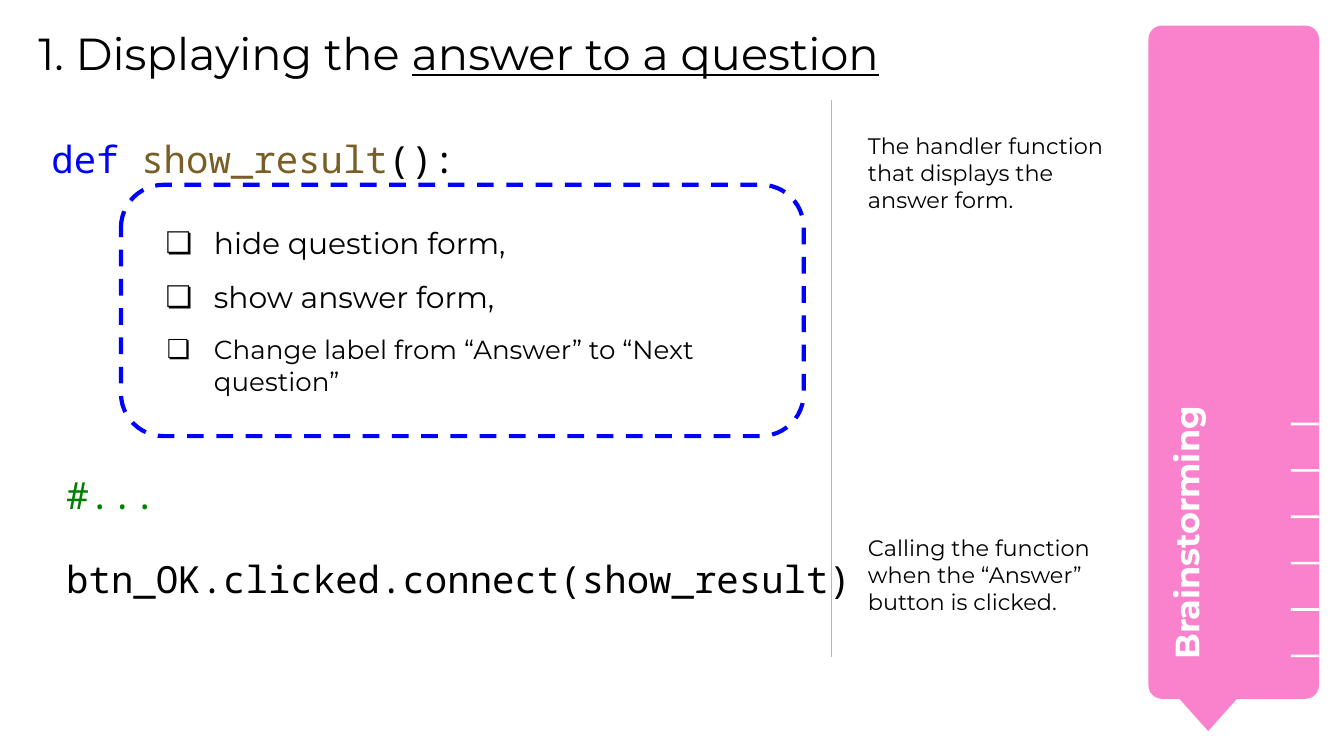
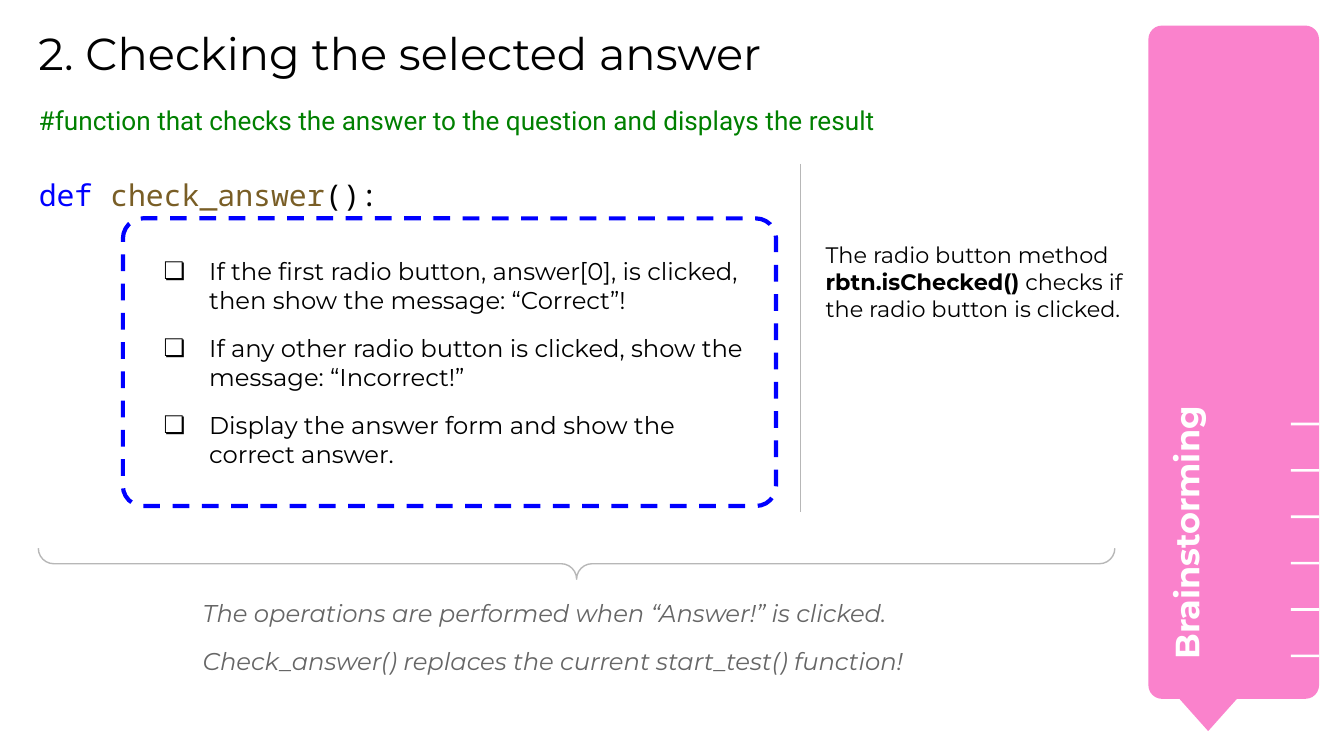
from dataclasses import dataclass

from lxml import etree
from pptx import Presentation
from pptx import util as u
from pptx.dml.color import RGBColor
from pptx.enum import dml, shapes, text
from pptx.oxml import ns

PX = 4572  # 200 px to the inch
SANS, MONO, ROBOTO = "Montserrat", "Noto Sans Mono", "Roboto"
BLACK, WHITE, PINK = "000000", "FFFFFF", "FA82CC"
KEYWORD, FUNCTION, COMMENT = "0000FF", "795E26", "008000"
RULE, GREY = "B7B7B7", "666666"
G = shapes.MSO_SHAPE


@dataclass(frozen=True)
class Box:
    left: int
    top: int
    width: int
    height: int

    def emu(self) -> list:
        return [px(v) for v in (self.left, self.top, self.width, self.height)]


@dataclass(frozen=True)
class Style:
    font: str
    size: int
    color: str = BLACK
    bold: bool = False
    italic: bool = False


@dataclass(frozen=True)
class Run:
    """Text with its departures from the style of its box."""
    text: str
    color: str = ""
    bold: bool = False
    underline: bool = False
    size: int = 0


@dataclass(frozen=True)
class Para:
    runs: tuple
    before: int = 0
    after: int = 0
    spacing: float = 1.0
    hang: int = 0


TITLE = Style(SANS, 24)
NOTE = Style(SANS, 12)
TAG = Style(SANS, 18, WHITE, bold=True)
CODE = Style(MONO, 20)
SMALL_CODE = Style(MONO, 16)
REMARK = Style(ROBOTO, 14, COMMENT)
TASK = Style(SANS, 16)
SMALL_TASK = Style(SANS, 13)
FOOTNOTE = Style(SANS, 13, GREY, italic=True)


def px(n: int) -> u.Emu:
    return u.Emu(n * PX)


def rgb(color: str) -> RGBColor:
    return RGBColor.from_string(color)


def para(*runs, **layout) -> Para:
    return Para(tuple(Run(r) if isinstance(r, str) else r for r in runs), **layout)


def code(*runs) -> Para:
    return para(*runs, spacing=1.5)


def definition(name: str) -> Para:
    return code(Run("def ", KEYWORD), Run(name, FUNCTION), "():")


def add_bullet(p, hang: int) -> None:
    pPr = p._p.get_or_add_pPr()
    pPr.set("marL", str(px(100)))
    pPr.set("indent", str(-px(hang)))
    color = etree.SubElement(pPr, ns.qn("a:buClr"))
    etree.SubElement(color, ns.qn("a:srgbClr")).set("val", BLACK)
    etree.SubElement(pPr, ns.qn("a:buFont")).set("typeface", SANS)
    etree.SubElement(pPr, ns.qn("a:buChar")).set("char", "❏")


def write(sp, style: Style, paras: list, inset: int = 20) -> None:
    tf = sp.text_frame
    tf.word_wrap = True
    tf.margin_left = tf.margin_top = tf.margin_right = tf.margin_bottom = px(inset)
    for i, item in enumerate(paras):
        p = tf.add_paragraph() if i else tf.paragraphs[0]
        p.alignment = text.PP_ALIGN.LEFT
        p.space_before, p.space_after = u.Pt(item.before), u.Pt(item.after)
        p.line_spacing = item.spacing
        if item.hang:
            add_bullet(p, item.hang)
        for run in item.runs:
            r = p.add_run()
            r.text = run.text
            f = r.font
            f.name, f.size = style.font, u.Pt(run.size or style.size)
            f.bold, f.italic = run.bold or style.bold, style.italic
            f.underline = run.underline
            f.color.rgb = rgb(run.color or style.color)


def add_text(s, box: Box, style: Style, *paras, inset: int = 20):
    sp = s.shapes.add_textbox(*box.emu())
    write(sp, style, paras, inset)
    return sp


def add_shape(parent, kind, box: Box, fill: str = "", line: str = "",
              weight: float = 0.75, adj: tuple = ()):
    """Draw a preset shape on a slide or in a group."""
    sp = parent.shapes.add_shape(kind, *box.emu())
    sp.shadow.inherit = False
    if fill:
        sp.fill.solid()
        sp.fill.fore_color.rgb = rgb(fill)
    else:
        sp.fill.background()
    if line:
        sp.line.color.rgb = rgb(line)
        sp.line.width = u.Pt(weight)
    else:
        sp.line.fill.background()
    for i, value in enumerate(adj):
        sp.adjustments[i] = value
    return sp


def add_tasks(s, box: Box, radius: float, style: Style, *paras) -> None:
    sp = add_shape(s, G.ROUNDED_RECTANGLE, box, WHITE, KEYWORD, 2.25, (radius,))
    sp.line.dash_style = dml.MSO_LINE.DASH
    sp.text_frame.vertical_anchor = text.MSO_ANCHOR.MIDDLE
    write(sp, style, paras)


def add_divider(s, x: int, top: int, bottom: int) -> None:
    line = s.shapes.add_connector(shapes.MSO_CONNECTOR.STRAIGHT,
                                  px(x), px(top), px(x), px(bottom))
    line.line.color.rgb = rgb(RULE)
    line.line.width = u.Pt(0.75)
    etree.SubElement(line._element.spPr, ns.qn("a:effectLst"))


def add_slide(prs, *title):
    """Add a slide with its title and the pink section tag."""
    s = prs.slides.add_slide(prs.slide_layouts[6])
    add_text(s, Box(57, 38, 1582, 112), TITLE, para(*title), inset=0)
    tag = s.shapes.add_group_shape()
    add_shape(tag, G.ROUNDED_RECTANGLE, Box(1709, 38, 254, 1002), PINK, adj=(0.08,))
    add_shape(tag, G.FLOWCHART_MERGE, Box(1732, 1014, 132, 74), PINK)
    for i in range(6):
        add_shape(s, G.RECTANGLE, Box(1921, 629 + 69 * i, 42, 4), WHITE)
    label = add_text(s, Box(1428, 580, 708, 134), TAG, para("Brainstorming"))
    label.rotation = 270
    return s


def build_display_slide(prs) -> None:
    s = add_slide(prs, "1. Displaying the ", Run("answer to a question", underline=True))
    add_text(s, Box(57, 150, 1214, 158), CODE, definition("show_result"))
    add_tasks(s, Box(180, 275, 1016, 374), 0.17, TASK,
              para("hide question form,", hang=72),
              para("show answer form,", hang=72, before=10),
              para(Run("Change label from “Answer” to “Next question”", size=14),
                   hang=70, before=10))
    add_text(s, Box(79, 650, 1118, 122), CODE, code(Run("#...", COMMENT)))
    add_text(s, Box(79, 774, 1228, 158), CODE, code("btn_OK.clicked.connect(show_result)"))
    for top, note in ((177, "The handler function that displays the answer form."),
                      (775, "Calling the function when the “Answer” button is clicked.")):
        add_text(s, Box(1272, top, 438, 192), NOTE, para(note))
    add_divider(s, 1237, 149, 978)


def build_check_slide(prs) -> None:
    s = add_slide(prs, "2. Checking the selected answer")
    add_text(s, Box(38, 136, 1614, 92), REMARK,
             para("#function that checks the answer to the question and displays the result",
                  after=10))
    add_text(s, Box(38, 216, 1582, 158), SMALL_CODE, definition("check_answer"))
    add_tasks(s, Box(183, 325, 972, 428), 0.07, SMALL_TASK,
              para("If the first radio button, answer[0], is clicked, "
                   "then show the message: “Correct”!", hang=68),
              para("If any other radio button is clicked, show the message: “Incorrect!”",
                   hang=68, before=10),
              para("Display the answer form and show the correct answer.",
                   hang=68, before=10, after=10))
    add_text(s, Box(1209, 339, 482, 308), NOTE,
             para("The radio button method ", Run("rbtn.isChecked()", bold=True),
                  " checks if the radio button is clicked."))
    add_divider(s, 1191, 244, 762)
    brace = add_shape(s, G.RIGHT_BRACE, Box(835, 38, 46, 1602), line=RULE, adj=(0.5, 0.5))
    brace.rotation = 90
    add_text(s, Box(282, 871, 1278, 228), FOOTNOTE,
             para("The operations are performed when “Answer!” is clicked."),
             para("Check_answer() replaces the current start_test() function!", before=10))


def main() -> None:
    prs = Presentation()
    prs.slide_width, prs.slide_height = px(2000), px(1125)
    build_display_slide(prs)
    build_check_slide(prs)
    prs.save("out.pptx")


if __name__ == "__main__":
    main()
